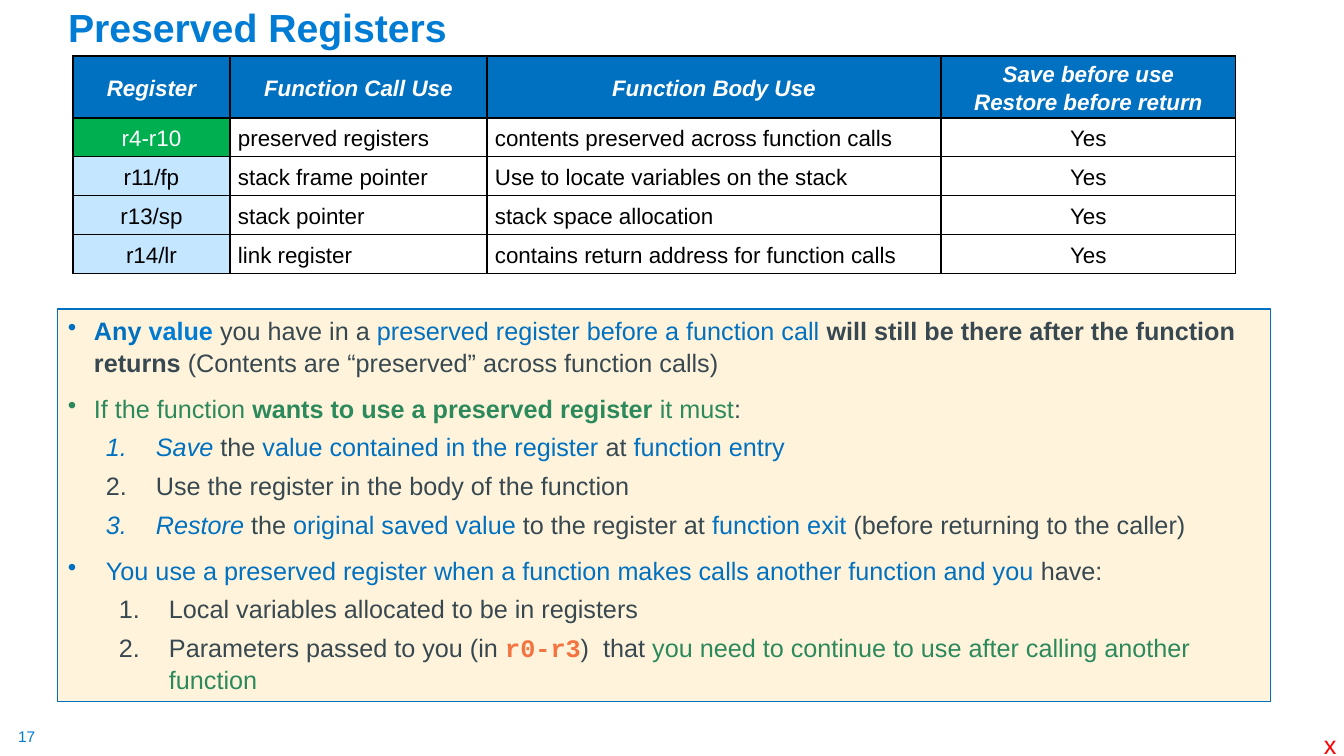
import pptx
import pptx.util
import pptx.dml.color
import pptx.enum.shapes
import pptx.enum.text
import pptx.oxml.ns
import lxml.etree
import dataclasses

PX = 914400 / 100.8  # EMU in one px
ALIGN = pptx.enum.text.PP_ALIGN
ANCHOR = pptx.enum.text.MSO_ANCHOR


@dataclasses.dataclass(frozen=True)
class Theme:
    font: str = "Arial"
    mono: str = "Courier New"
    head: str = "007CD5"
    blue: str = "0070C0"
    ink: str = "384851"
    green: str = "2C895B"
    coral: str = "F37440"
    cream: str = "FFF4DB"
    leaf: str = "00B050"
    sky: str = "C4E6FF"
    white: str = "FFFFFF"
    black: str = "000000"
    red: str = "FF0000"
    title: int = 28
    body: int = 18
    cell: int = 16
    foot: int = 11


T = Theme()

HEADS = ["Register", "Function Call Use", "Function Body Use",
         "Save before use\nRestore before return"]
ROWS = [
    ["r4-r10", "preserved registers", "contents preserved across function calls", "Yes"],
    ["r11/fp", "stack frame pointer", "Use to locate variables on the stack", "Yes"],
    ["r13/sp", "stack pointer", "stack space allocation", "Yes"],
    ["r14/lr", "link register", "contains return address for function calls", "Yes"],
]
COLS = [157, 257, 454, 295]

# Each point: mark, left margin, hanging indent, runs of (text, colour, style)
POINTS = [
    ("•", 26, 26, [
        ("Any ", T.blue, "b"), ("value", T.head, "b"), (" you have in a ", T.ink, ""),
        ("preserved register before a function call ", T.blue, ""),
        ("will still be there after the function returns", T.ink, "b"),
        (" (Contents are “preserved” across function calls)", T.ink, "")]),
    ("•", 26, 26, [
        ("If the function ", T.green, ""),
        ("wants to use a preserved register ", T.green, "b"),
        ("it must", T.green, ""), (":", T.ink, "")]),
    ("1.", 88, 50, [
        ("Save", T.blue, "i"), (" the ", T.ink, ""),
        ("value contained in the register ", T.blue, ""),
        ("at ", T.ink, ""), ("function entry", T.blue, "")]),
    ("1.", 88, 50, [("Use the register in the body of the function", T.ink, "")]),
    ("1.", 88, 50, [
        ("Restore", T.blue, "i"), (" the ", T.ink, ""),
        ("original saved value ", T.blue, ""), ("to the register at ", T.ink, ""),
        ("function exit ", T.blue, ""), ("(before returning to the caller)", T.ink, "")]),
    ("•", 38, 38, [
        ("You use a preserved register when a function makes calls another function and you ",
         T.blue, ""), ("have:", T.ink, "")]),
    ("1.", 101, 50, [("Local variables allocated to be in registers", T.ink, "")]),
    ("1.", 101, 50, [
        ("Parameters passed to you (in ", T.ink, ""), ("r0-r3", T.coral, "bm"),
        (")  that ", T.ink, ""),
        ("you need to continue to use after calling another function", T.green, "")]),
]


def px(n):
    return pptx.util.Emu(round(n * PX))


def rgb(tone):
    return pptx.dml.color.RGBColor.from_string(tone)


def style(font, size, tone, bold=False, slant=False):
    font.name, font.size = T.font, pptx.util.Pt(size)
    font.bold, font.italic = bold, slant
    font.color.rgb = rgb(tone)


def inset(item, side, top):
    item.margin_left = item.margin_right = px(side)
    item.margin_top = item.margin_bottom = px(top)


def node(parent, tag, **attrs):
    return lxml.etree.SubElement(parent, pptx.oxml.ns.qn(tag), attrs)


def label(slide, box, text, size, tone, bold=False, wrap=False, pad=(10, 5)):
    frame = slide.shapes.add_textbox(*map(px, box)).text_frame
    frame.word_wrap = wrap
    inset(frame, *pad)
    para = frame.paragraphs[0]
    para.text = text
    style(para.font, size, tone, bold)
    return frame


def title(slide, box):
    frame = label(slide, box, "Preserved Registers", T.title, T.head, True, True)
    frame.vertical_anchor = ANCHOR.BOTTOM
    frame.paragraphs[0].line_spacing = 0.9


def border(cell):
    props = cell._tc.get_or_add_tcPr()
    for spot, side in enumerate("LRTB"):
        line = node(props, "a:ln" + side, w=str(pptx.util.Pt(1)))
        node(node(line, "a:solidFill"), "a:srgbClr", val=T.black)
        props.insert(spot, line)


def fill_cell(cell, text, tone, fill, head, mid):
    cell.text = text
    cell.vertical_anchor = ANCHOR.MIDDLE
    inset(cell, *((0, 0) if head else (8, 4)))
    if fill:
        cell.fill.solid()
        cell.fill.fore_color.rgb = rgb(fill)
    else:
        cell.fill.background()
    for para in cell.text_frame.paragraphs:
        para.alignment = ALIGN.CENTER if mid else ALIGN.LEFT
        para.line_spacing = 1.15
        style(para.font, T.cell, tone, head, head)
    border(cell)


def register_table(slide, box):
    grid = [HEADS] + ROWS
    table = slide.shapes.add_table(len(grid), len(COLS), *map(px, box)).table
    for col, width in zip(table.columns, COLS):
        col.width = px(width)
    for r, texts in enumerate(grid):
        table.rows[r].height = px(38 if r else 62)
        for c, text in enumerate(texts):
            tone, fill = T.black, None
            if r == 0:
                tone, fill = T.white, T.blue
            elif c == 0:
                tone, fill = (T.white, T.leaf) if r == 1 else (T.black, T.sky)
            fill_cell(table.cell(r, c), text, tone, fill, r == 0, r == 0 or c in (0, 3))


def bullet(para, mark, left, hang):
    props = para._p.get_or_add_pPr()
    props.set("marL", str(px(left)))
    props.set("indent", str(px(-hang)))
    if mark == "•":
        item = node(props, "a:buChar", char=mark)
    else:
        item = node(props, "a:buAutoNum", type="arabicPeriod")
    props.insert(props.index(props.find(pptx.oxml.ns.qn("a:defRPr"))), item)


def point_panel(slide, box):
    panel = slide.shapes.add_shape(pptx.enum.shapes.MSO_SHAPE.RECTANGLE, *map(px, box))
    panel.shadow.inherit = False
    panel.fill.solid()
    panel.fill.fore_color.rgb = rgb(T.cream)
    panel.line.color.rgb = rgb(T.blue)
    panel.line.width = pptx.util.Pt(0.75)
    frame = panel.text_frame
    frame.word_wrap = True
    frame.vertical_anchor = ANCHOR.TOP
    inset(frame, 10, 5)
    for n, (mark, left, hang, runs) in enumerate(POINTS):
        para = frame.add_paragraph() if n else frame.paragraphs[0]
        para.alignment = ALIGN.LEFT
        para.level = 0 if mark == "•" else 1
        para.line_spacing = 1.05
        para.space_before = pptx.util.Pt(5 if para.level else 10)
        style(para.font, T.body, T.ink)
        bullet(para, mark, left, hang)
        for text, tone, look in runs:
            run = para.add_run()
            run.text = text
            run.font.color.rgb = rgb(tone)
            if "b" in look:
                run.font.bold = True
            if "i" in look:
                run.font.italic = True
            if "m" in look:
                run.font.name = T.mono


def main():
    deck = pptx.Presentation()
    deck.slide_width, deck.slide_height = px(1344), px(756)
    slide = deck.slides.add_slide(deck.slide_layouts[6])
    label(slide, (18, 727, 19, 19), "17", T.foot, T.head, pad=(0, 0))
    point_panel(slide, (58, 309, 1213, 393))
    title(slide, (58, 7, 1286, 49))
    label(slide, (1314, 724, 33, 40), "x", T.body, T.red)
    register_table(slide, (73, 56, sum(COLS), 214))
    deck.save("out.pptx")


if __name__ == "__main__":
    main()
